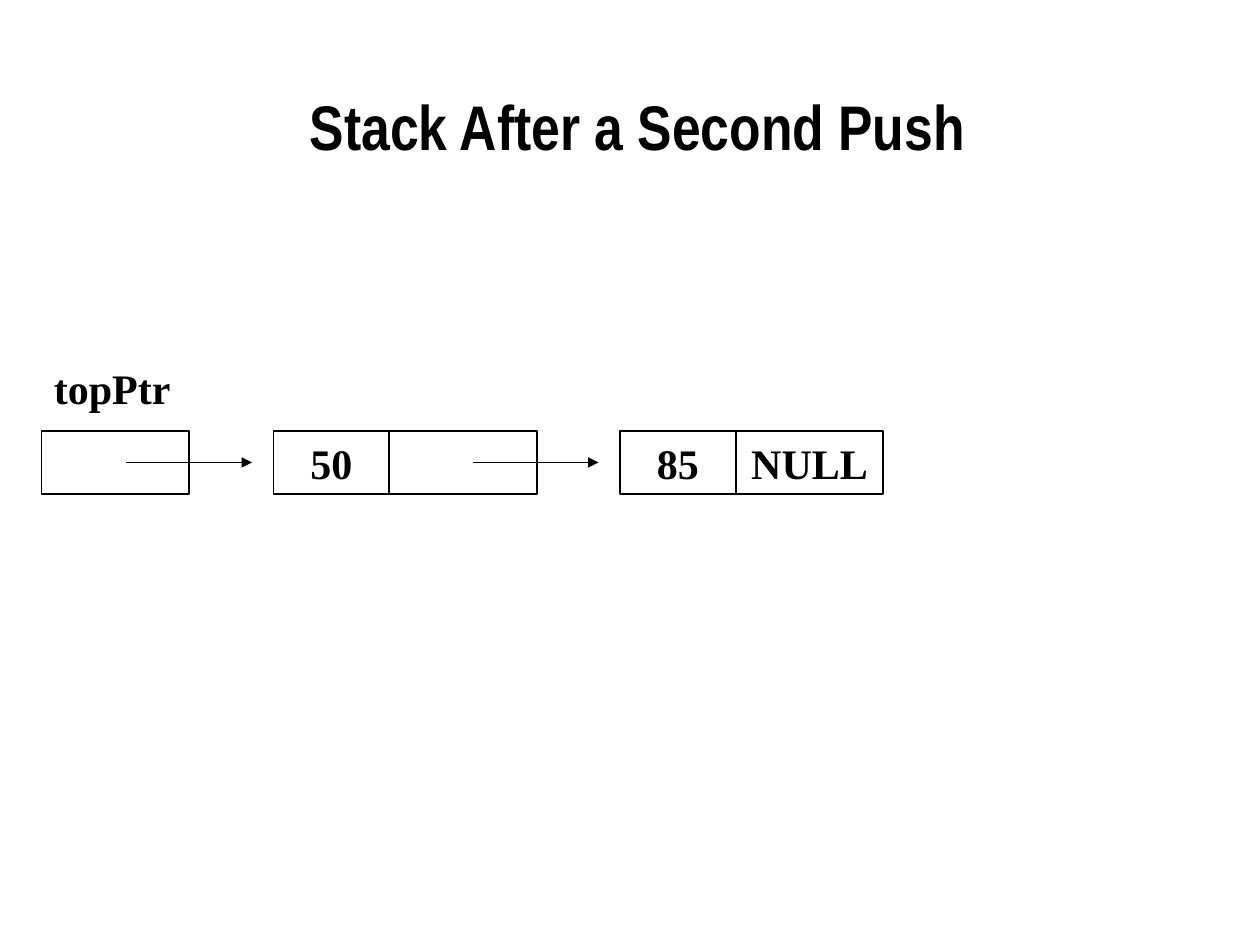
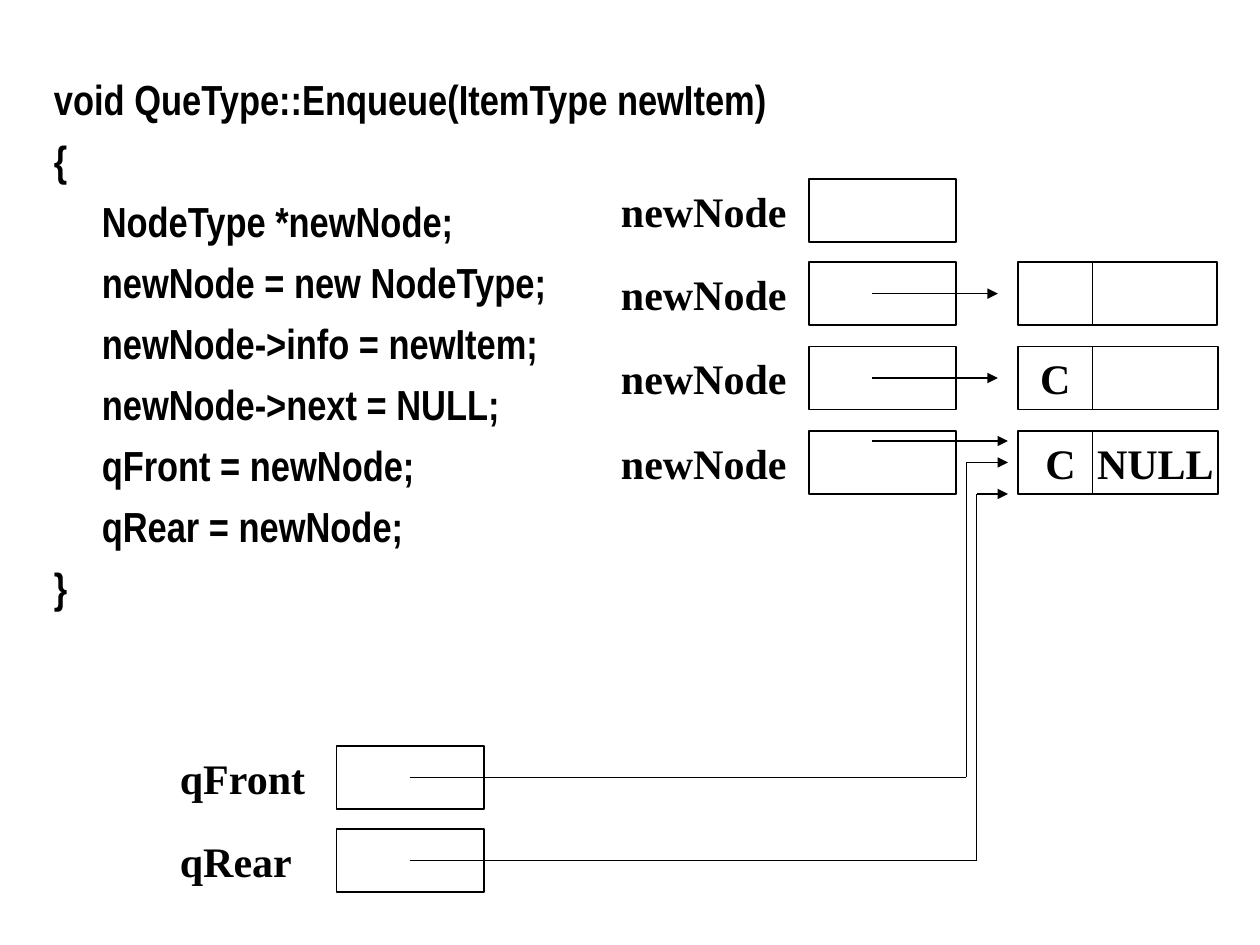
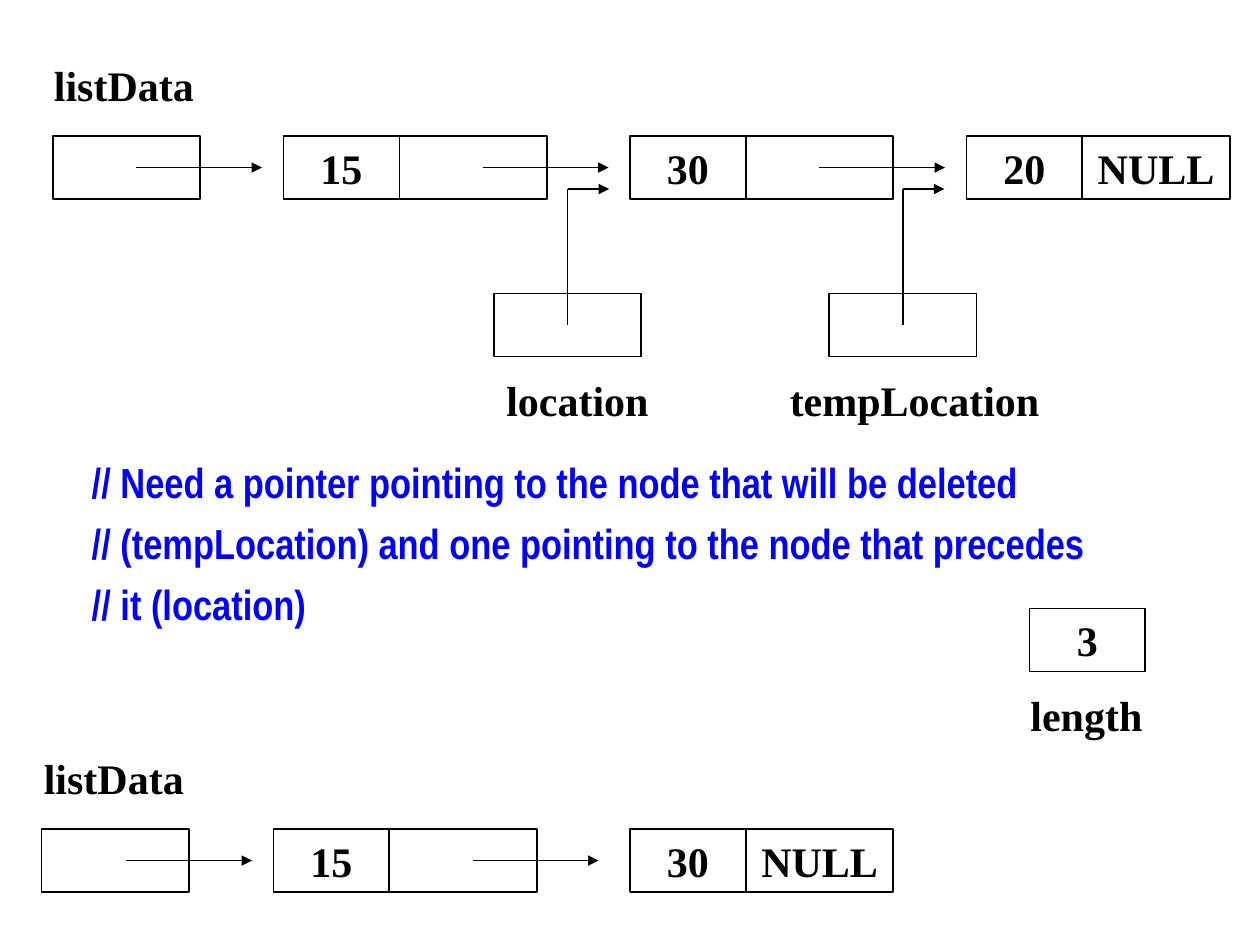
"""Build three slides of linked stack, queue and list diagrams."""
from dataclasses import dataclass

import pptx
import pptx.dml.color
import pptx.enum.shapes
import pptx.enum.text
import pptx.oxml.xmlchemy
import pptx.shapes.autoshape
import pptx.slide
import pptx.text.text
import pptx.util

Inches = pptx.util.Inches
RGBColor = pptx.dml.color.RGBColor
PP_ALIGN = pptx.enum.text.PP_ALIGN
MSO_ANCHOR = pptx.enum.text.MSO_ANCHOR
OxmlElement = pptx.oxml.xmlchemy.OxmlElement
Slide = pptx.slide.Slide
Point = tuple[float, float]


@dataclass(frozen=True)
class Theme:
    """Colours, fonts and type sizes shared by the slides."""

    ink: RGBColor = RGBColor(0, 0, 0)
    paper: RGBColor = RGBColor(255, 255, 255)
    comment: RGBColor = RGBColor(0, 0, 255)
    heading_font: str = "Arial Narrow"
    diagram_font: str = "Times New Roman"
    title_size: int = 36
    text_size: int = 24
    space_before: int = 6
    line_width: int = 1


@dataclass(frozen=True)
class Node:
    """A list node whose incoming arrow stops a gap before it."""

    x: float
    info: str
    gap: float = 0.17


@dataclass(frozen=True)
class Chain:
    """A named head pointer followed by linked nodes."""

    name: str
    name_at: Point
    head_x: float
    y: float
    nodes: tuple[Node, ...]


@dataclass(frozen=True)
class CodeLine:
    """A line of code, optionally indented."""

    text: str
    indented: bool = True


THEME = Theme()
BOX_H = 0.5
INFO_W = 0.92
POINTER_W = 1.17
ARROW_LENGTH = 1.0
CODE_INDENT = 0.38


def style_paragraph(
    p: pptx.text.text._Paragraph, font: str, size: int, color: RGBColor = THEME.ink
) -> None:
    """Format every run of a paragraph in bold."""
    for r in p.runs:
        r.font.name = font
        r.font.size = pptx.util.Pt(size)
        r.font.bold = True
        r.font.color.rgb = color


def add_text_frame(
    s: Slide, x: float, y: float, w: float, h: float
) -> pptx.text.text.TextFrame:
    """Add a wrapping text box and return its frame."""
    tf = s.shapes.add_textbox(Inches(x), Inches(y), Inches(w), Inches(h)).text_frame
    tf.word_wrap = True
    return tf


def add_title(s: Slide, text: str) -> None:
    """Add a centred slide title."""
    tf = add_text_frame(s, 0.33, 0.37, 9.46, 1.25)
    tf.vertical_anchor = MSO_ANCHOR.MIDDLE
    tf.text = text
    tf.paragraphs[0].alignment = PP_ALIGN.CENTER
    style_paragraph(tf.paragraphs[0], THEME.heading_font, THEME.title_size)


def add_label(s: Slide, text: str, x: float, y: float, w: float) -> None:
    """Add the name of a variable."""
    tf = add_text_frame(s, x, y, w, BOX_H)
    tf.auto_size = pptx.enum.text.MSO_AUTO_SIZE.SHAPE_TO_FIT_TEXT
    tf.text = text
    style_paragraph(tf.paragraphs[0], THEME.diagram_font, THEME.text_size)


def add_code(
    s: Slide,
    lines: tuple[CodeLine, ...],
    at: tuple[float, float, float, float],
    color: RGBColor,
) -> None:
    """Add a block of code lines."""
    tf = add_text_frame(s, *at)
    tf.vertical_anchor = MSO_ANCHOR.MIDDLE
    tf.text = "\n".join(line.text for line in lines)
    for p, line in zip(tf.paragraphs, lines):
        p.space_before = pptx.util.Pt(THEME.space_before)
        if line.indented:
            p._p.get_or_add_pPr().set("marL", str(Inches(CODE_INDENT)))
        style_paragraph(p, THEME.heading_font, THEME.text_size, color)


def add_box(
    s: Slide, x: float, y: float, w: float = POINTER_W, text: str = ""
) -> None:
    """Add a memory cell with an optional value."""
    sp = s.shapes.add_shape(
        pptx.enum.shapes.MSO_SHAPE.RECTANGLE,
        Inches(x), Inches(y), Inches(w), Inches(BOX_H),
    )
    sp.shadow.inherit = False
    sp.fill.solid()
    sp.fill.fore_color.rgb = THEME.paper
    sp.line.color.rgb = THEME.ink
    sp.line.width = pptx.util.Pt(THEME.line_width)
    if text:
        tf = sp.text_frame
        tf.word_wrap = False
        tf.vertical_anchor = MSO_ANCHOR.MIDDLE
        tf.text = text
        tf.paragraphs[0].alignment = PP_ALIGN.CENTER
        style_paragraph(tf.paragraphs[0], THEME.diagram_font, THEME.text_size)


def add_line(s: Slide, start: Point, end: Point, arrow: bool = False) -> None:
    """Add a straight line, with an arrowhead at its end if asked."""
    c = s.shapes.add_connector(
        pptx.enum.shapes.MSO_CONNECTOR.STRAIGHT,
        *(Inches(value) for value in (*start, *end)),
    )
    c.line.color.rgb = THEME.ink
    c.line.width = pptx.util.Pt(THEME.line_width)
    if arrow:
        tail = OxmlElement("a:tailEnd")
        tail.set("type", "triangle")
        c.line._get_or_add_ln().append(tail)
    c._element.spPr.append(OxmlElement("a:effectLst"))


def add_route(s: Slide, *points: Point) -> None:
    """Join points with lines and end in an arrowhead."""
    for i in range(1, len(points)):
        add_line(s, points[i - 1], points[i], arrow=i == len(points) - 1)


def add_chain(s: Slide, chain: Chain) -> None:
    """Add a head pointer, its nodes and the arrows between them."""
    add_label(s, chain.name, *chain.name_at, 1.53)
    add_box(s, chain.head_x, chain.y)
    for node in chain.nodes:
        add_box(s, node.x, chain.y, INFO_W, node.info)
        last = node is chain.nodes[-1]
        add_box(s, node.x + INFO_W, chain.y, text="NULL" if last else "")
    middle = chain.y + BOX_H / 2
    for node in chain.nodes:
        end = node.x - node.gap
        add_route(s, (end - ARROW_LENGTH, middle), (end, middle))


def build_stack(s: Slide) -> None:
    """Draw the stack with two nodes."""
    nodes = (Node(2.17, "50"), Node(4.92, "85"))
    add_chain(s, Chain("topPtr", (0.33, 2.83), 0.33, 3.42, nodes))
    add_title(s, "Stack After a Second Push")


def build_enqueue(s: Slide) -> None:
    """Draw the enqueue code beside the steps of a new node."""
    code = (
        CodeLine("void QueType::Enqueue(ItemType newItem)", False),
        CodeLine("{", False),
        CodeLine("NodeType *newNode;"),
        CodeLine("newNode = new NodeType;"),
        CodeLine("newNode->info = newItem;"),
        CodeLine("newNode->next = NULL;"),
        CodeLine("qFront = newNode;"),
        CodeLine("qRear = newNode;"),
        CodeLine("}", False),
    )
    add_code(s, code, (0.33, 0.47, 9.49, 4.5), THEME.ink)

    pointer_x, node_x, next_x = 6.42, 8.08, 8.67
    declared, allocated, filled, linked = 1.42, 2.08, 2.75, 3.42
    for y in (declared, allocated, filled, linked):
        add_label(s, "newNode", 4.83, y, 1.78)
        add_box(s, pointer_x, y)
    add_box(s, node_x, allocated, 1.58)
    add_line(s, (next_x, allocated), (next_x, allocated + BOX_H))
    for y, info, link in ((filled, "C", ""), (linked, " C", "NULL")):
        add_box(s, node_x, y, next_x - node_x, info)
        add_box(s, next_x, y, 1, link)

    arrow_x = pointer_x + 0.5
    for y in (allocated, filled):
        middle = y + BOX_H / 2
        add_route(s, (arrow_x, middle), (arrow_x + ARROW_LENGTH, middle))
    add_route(s, (arrow_x, 3.5), (8, 3.5))

    for name, y, turn_x, end_y in (
        ("qFront", 5.92, 7.67, 3.67),
        ("qRear", 6.58, 7.75, 3.92),
    ):
        add_label(s, name, 1.33, y, 1.33)
        add_box(s, 2.67, y)
        middle = y + BOX_H / 2
        add_route(s, (3.25, middle), (turn_x, middle), (turn_x, end_y), (8, end_y))


def build_deletion(s: Slide) -> None:
    """Draw a list before and after deleting its last node."""
    before = (Node(2.25, "15"), Node(5, "30"), Node(7.67, "20"))
    after = (Node(2.17, "15"), Node(5, "30", gap=0.25))
    add_chain(s, Chain("listData", (0.33, 0.42), 0.42, 1.08, before))
    add_chain(s, Chain("listData", (0.25, 5.92), 0.33, 6.58, after))

    for name, label_x, label_w, x in (
        ("location", 3.92, 1.42, 3.92),
        ("tempLocation", 6.17, 2.33, 6.58),
    ):
        add_label(s, name, label_x, 2.92, label_w)
        add_box(s, x, 2.33)
        middle = x + POINTER_W / 2
        add_route(s, (middle, 2.58), (middle, 1.5), (middle + 0.33, 1.5))

    comments = (
        CodeLine("// Need a pointer pointing to the node that will be deleted"),
        CodeLine("// (tempLocation) and one pointing to the node that precedes"),
        CodeLine("// it (location)"),
    )
    add_code(s, comments, (0.25, 2.52, 9.24, 3.58), THEME.comment)
    add_label(s, "length", 8.08, 5.42, 1.42)
    add_box(s, 8.17, 4.83, INFO_W, "3")


def main() -> None:
    """Build and save the presentation."""
    prs = pptx.Presentation()
    prs.slide_width = Inches(10)
    prs.slide_height = Inches(7.5)
    for build in (build_stack, build_enqueue, build_deletion):
        build(prs.slides.add_slide(prs.slide_layouts[6]))
    prs.save("out.pptx")


if __name__ == "__main__":
    main()
